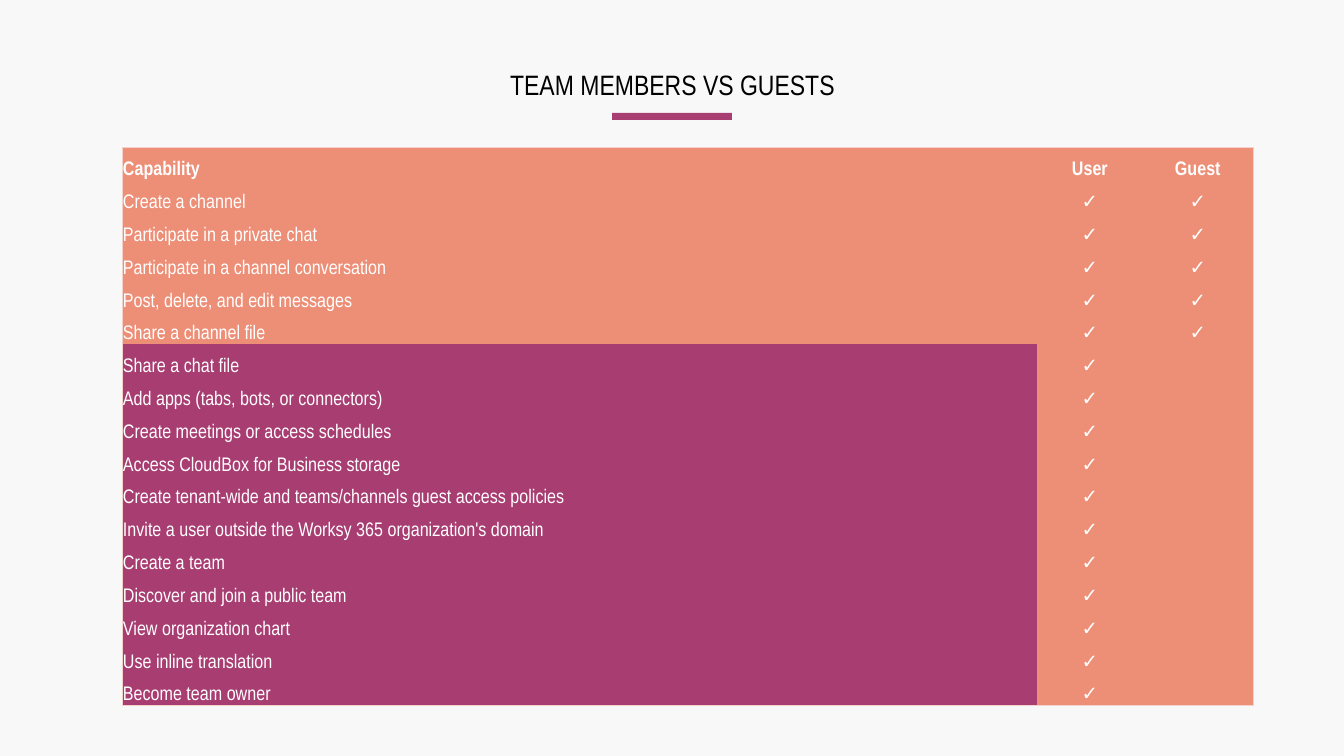
"""Build a slide comparing the capabilities of team members and guests."""
from dataclasses import dataclass

from lxml import etree
from pptx import Presentation
from pptx.dml.color import RGBColor
from pptx.enum.shapes import MSO_SHAPE
from pptx.enum.text import MSO_ANCHOR, PP_ALIGN
from pptx.oxml.ns import qn
from pptx.util import Inches, Pt

RECT = MSO_SHAPE.RECTANGLE
LEFT, CENTER = PP_ALIGN.LEFT, PP_ALIGN.CENTER
MIDDLE, BOTTOM = MSO_ANCHOR.MIDDLE, MSO_ANCHOR.BOTTOM


@dataclass(frozen=True)
class Theme:
    font: str = "Arial Narrow"
    title_size: int = 20
    table_size: int = 14
    border_width: float = 0.5
    background: str = "F8F8F8"
    title: str = "000000"
    table_text: str = "FFFFFF"
    accent: str = "A83D72"
    table: str = "ED8E76"
    border: str = "F4D2CC"


THEME = Theme()
CHECK = "✓"
HEADER = ["Capability", "User", "Guest"]
SHARED = [
    "Create a channel",
    "Participate in a private chat",
    "Participate in a channel conversation",
    "Post, delete, and edit messages",
    "Share a channel file",
]
USER_ONLY = [
    "Share a chat file",
    "Add apps (tabs, bots, or connectors)",
    "Create meetings or access schedules",
    "Access CloudBox for Business storage",
    "Create tenant-wide and teams/channels guest access policies",
    "Invite a user outside the Worksy 365 organization's domain",
    "Create a team",
    "Discover and join a public team",
    "View organization chart",
    "Use inline translation",
    "Become team owner",
]
COLUMN_WIDTHS = [9.08, 1.04, 1.1]


def paint(fill, color):
    """Give a fill one solid colour."""
    fill.solid()
    fill.fore_color.rgb = RGBColor.from_string(color)


def write(p, text, size, color, align, bold=False):
    """Add one styled run to a paragraph."""
    p.alignment = align
    r = p.add_run()
    r.text = text
    r.font.name = THEME.font
    r.font.size = Pt(size)
    r.font.bold = bold
    r.font.color.rgb = RGBColor.from_string(color)


def add_title(s, text):
    """Add the centred slide title."""
    tf = s.shapes.add_textbox(Inches(0.92), Inches(0.6), Inches(11.5), Inches(0.52)).text_frame
    tf.word_wrap = True
    tf.vertical_anchor = MIDDLE
    p = tf.paragraphs[0]
    p.line_spacing = 0.9
    write(p, text, THEME.title_size, THEME.title, CENTER)


def add_accent_bar(s, segments=5):
    """Add the row of adjoining segments below the title."""
    width = Inches(1.19) // segments
    for i in range(segments):
        sp = s.shapes.add_shape(RECT, Inches(6.07) + i * width, Inches(1.12), width, Inches(0.07))
        sp.shadow.inherit = False
        paint(sp.fill, THEME.accent)
        sp.line.fill.background()


def set_borders(cell, outer):
    """Draw the outer sides of a cell and clear the others."""
    tc_pr = cell._tc.get_or_add_tcPr()
    for side in "LRTB":
        ln = etree.SubElement(tc_pr, qn(f"a:ln{side}"), w=str(Pt(THEME.border_width)))
        if side in outer:
            solid = etree.SubElement(ln, qn("a:solidFill"))
            etree.SubElement(solid, qn("a:srgbClr"), val=THEME.border)
        else:
            etree.SubElement(ln, qn("a:noFill"))


def fill_cell(cell, text, color, align, bold, outer):
    """Set the text, margins, borders and fill of a cell."""
    cell.margin_left = cell.margin_right = cell.margin_top = Inches(0.01)
    cell.margin_bottom = 0
    cell.vertical_anchor = BOTTOM
    set_borders(cell, outer)
    paint(cell.fill, color)
    if text:
        write(cell.text_frame.paragraphs[0], text, THEME.table_size, THEME.table_text, align, bold)


def add_capability_table(s):
    """Add the table of capabilities by role."""
    rows = [HEADER]
    rows += [[name, CHECK, CHECK] for name in SHARED]
    rows += [[name, CHECK, ""] for name in USER_ONLY]
    last_row, last_col = len(rows) - 1, len(HEADER) - 1
    table = s.shapes.add_table(len(rows), len(HEADER), Inches(1.21), Inches(1.46),
                               Inches(sum(COLUMN_WIDTHS)), Inches(5.54)).table
    table.first_row = table.horz_banding = False
    for column, width in zip(table.columns, COLUMN_WIDTHS):
        column.width = Inches(width)
    for i, row in enumerate(rows):
        for j, text in enumerate(row):
            edges = {"L": j == 0, "R": j == last_col, "T": i == 0, "B": i == last_row}
            outer = [side for side, on_edge in edges.items() if on_edge]
            color = THEME.accent if j == 0 and i > len(SHARED) else THEME.table
            fill_cell(table.cell(i, j), text, color, CENTER if j else LEFT, i == 0, outer)


def main():
    """Create the presentation and save it."""
    prs = Presentation()
    prs.slide_width, prs.slide_height = Inches(13.33), Inches(7.5)
    s = prs.slides.add_slide(prs.slide_layouts[6])
    paint(s.background.fill, THEME.background)
    add_accent_bar(s)
    add_title(s, "TEAM MEMBERS VS GUESTS")
    add_capability_table(s)
    prs.save("out.pptx")


if __name__ == "__main__":
    main()
